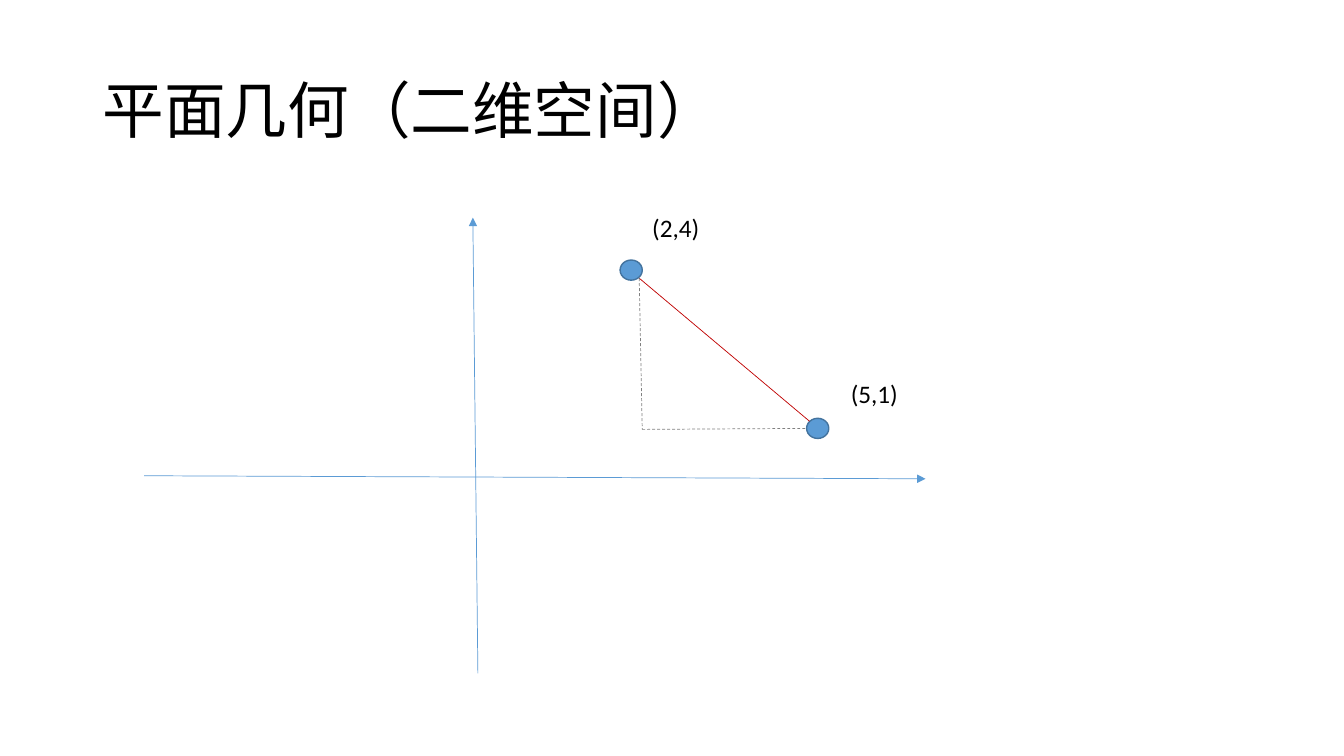
from lxml import etree
from pptx import Presentation
from pptx.dml.color import RGBColor
from pptx.enum import dml, shapes, text
from pptx.oxml.ns import qn
from pptx.util import Inches, Pt

BLUE = RGBColor(0x5B, 0x9B, 0xD5)
NAVY = RGBColor(0x43, 0x73, 0x9E)
RED = RGBColor(0xC0, 0, 0)
GRAY = RGBColor(0x80, 0x80, 0x80)
BLACK = RGBColor(0, 0, 0)
FONT = "Calibri"

# text, box, size, anchor, line spacing
TITLE = ("平面几何（二维空间）", (0.92, 0.4, 11.5, 1.45), 44, text.MSO_ANCHOR.MIDDLE, 0.9)
LABELS = [
    ("(2,4)", (6.37, 2.06, 1.16, 0.4), 18, text.MSO_ANCHOR.TOP, 1.0),
    ("(5,1)", (8.34, 3.7, 1.05, 0.4), 18, text.MSO_ANCHOR.TOP, 1.0),
]
DOTS = [(6.15, 2.58), (8, 4.15)]
DOT_SIZE = (0.22, 0.2)

# start, end, colour, arrow, dash
AXES = [
    ((1.43, 4.72), (9.18, 4.75), BLUE, True, False),
    ((4.74, 6.68), (4.69, 2.16), BLUE, True, False),
]
TOP, CORNER = (6.34, 2.76), (6.37, 4.26)
SIDES = [
    (TOP, (8.03, 4.18), RED, False, False),
    (TOP, CORNER, GRAY, False, True),
    (CORNER, (8, 4.25), GRAY, False, True),
]


def add_text(slide, words, box, size, anchor, space):
    frame = slide.shapes.add_textbox(*map(Inches, box)).text_frame
    frame.word_wrap = True
    frame.vertical_anchor = anchor
    para = frame.paragraphs[0]
    para.text = words
    para.line_spacing = space
    for key, value in {"name": FONT, "size": Pt(size)}.items():
        setattr(para.font, key, value)
    para.font.color.rgb = BLACK


def add_line(slide, start, end, color, arrow, dash):
    line = slide.shapes.add_connector(
        shapes.MSO_CONNECTOR.STRAIGHT, *map(Inches, start + end))
    line.line.color.rgb = color
    line.line.width = Pt(0.5)
    if dash:
        line.line.dash_style = dml.MSO_LINE.DASH
    if arrow:
        tip = etree.SubElement(line.line._get_or_add_ln(), qn("a:tailEnd"))
        tip.set("type", "triangle")
    etree.SubElement(line._element.spPr, qn("a:effectLst"))


def add_dot(slide, place):
    dot = slide.shapes.add_shape(
        shapes.MSO_SHAPE.OVAL, *map(Inches, place + DOT_SIZE))
    dot.shadow.inherit = False
    dot.fill.solid()
    dot.fill.fore_color.rgb = BLUE
    dot.line.color.rgb = NAVY
    dot.line.width = Pt(1)


def main():
    deck = Presentation()
    deck.slide_width, deck.slide_height = Inches(13.33), Inches(7.5)
    slide = deck.slides.add_slide(deck.slide_layouts[6])
    add_text(slide, *TITLE)
    for axis in AXES:
        add_line(slide, *axis)
    for place in DOTS:
        add_dot(slide, place)
    for label in LABELS:
        add_text(slide, *label)
    for side in SIDES:
        add_line(slide, *side)
    deck.save("out.pptx")


if __name__ == "__main__":
    main()
